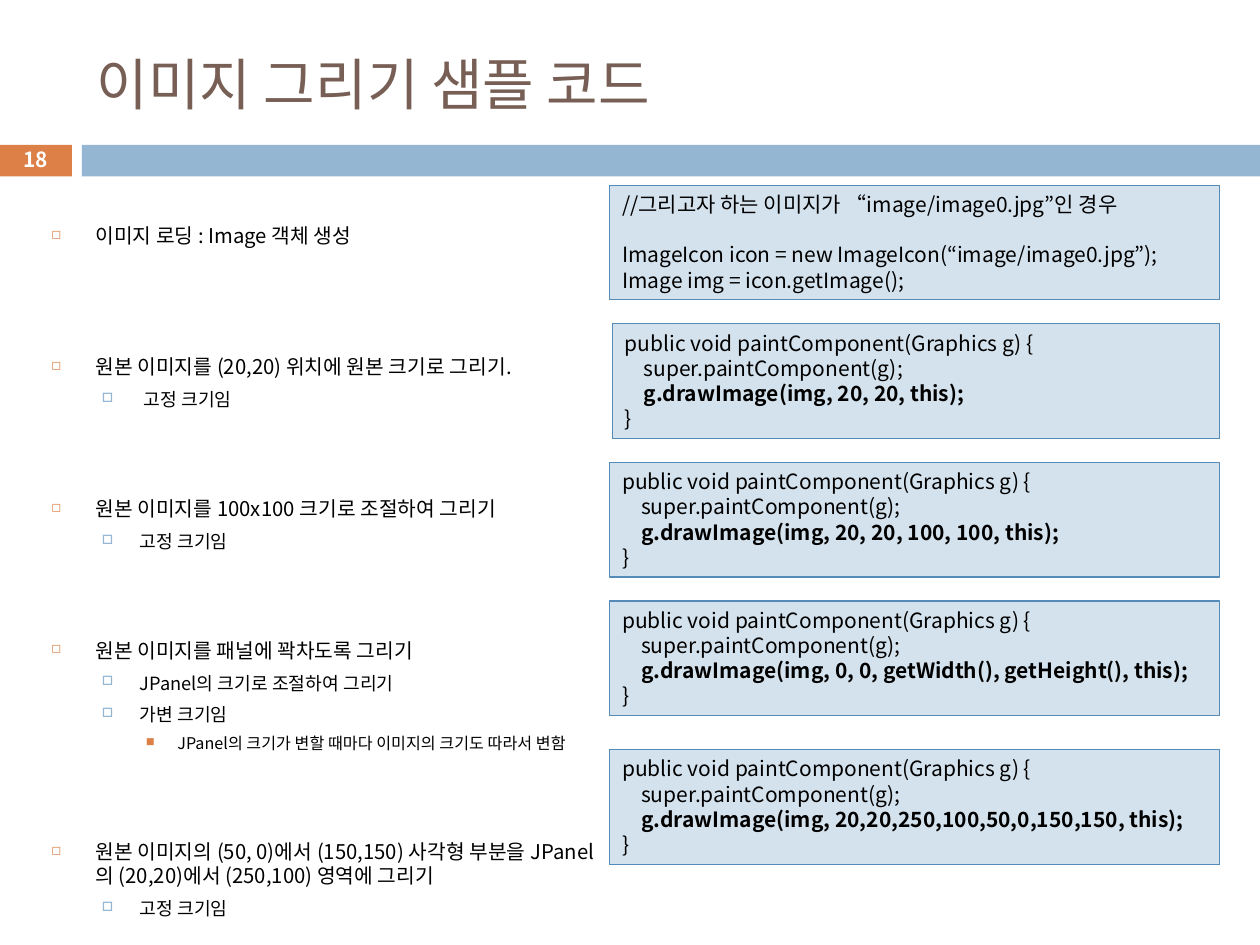
from lxml import etree
from pptx import Presentation
from pptx.dml.color import RGBColor
from pptx.enum import shapes, text
from pptx.oxml.ns import qn
from pptx.util import Inches, Pt

FONT = "Noto Sans CJK KR"
BLACK = RGBColor(0x00, 0x00, 0x00)
WHITE = RGBColor(0xFF, 0xFF, 0xFF)
BROWN = RGBColor(0x77, 0x5F, 0x55)
ORANGE = RGBColor(0xDD, 0x80, 0x47)
BLUE = RGBColor(0x94, 0xB6, 0xD2)
PALE_BLUE = RGBColor(0xD4, 0xE2, 0xED)
EDGE_BLUE = RGBColor(0x55, 0x8B, 0xB8)


def add_run(p, words, size, color=BLACK, bold=False):
    r = p.add_run()
    r.text = words
    r.font.size = Pt(size)
    r.font.bold = bold
    r.font.color.rgb = color
    r.font.name = FONT
    etree.SubElement(r._r.rPr, qn("a:ea"), typeface=FONT)


def add_rect(left, top, width, height, fill):
    sp = s.shapes.add_shape(shapes.MSO_SHAPE.RECTANGLE, Inches(left), Inches(top),
                            Inches(width), Inches(height))
    sp.shadow.inherit = False
    sp.fill.solid()
    sp.fill.fore_color.rgb = fill
    sp.line.fill.background()
    return sp


prs = Presentation()
prs.slide_width, prs.slide_height = Inches(10), Inches(7.5)
s = prs.slides.add_slide(prs.slide_layouts[6])

# Header band, title and page number
add_rect(-0.01, 1.15, 0.58, 0.25, ORANGE)
add_rect(0.65, 1.15, 9.35, 0.25, BLUE)

title = s.shapes.add_textbox(Inches(0.67), Inches(0.25), Inches(8.92), Inches(0.82))
tf = title.text_frame
tf.word_wrap = True
tf.vertical_anchor = text.MSO_ANCHOR.MIDDLE
add_run(tf.paragraphs[0], "이미지 그리기 샘플 코드", 32, BROWN)

number = s.shapes.add_textbox(Inches(-0.01), Inches(1.13), Inches(0.58), Inches(0.27))
tf = number.text_frame
tf.word_wrap = True
tf.margin_top = tf.margin_bottom = 0
tf.vertical_anchor = text.MSO_ANCHOR.MIDDLE
tf.paragraphs[0].alignment = text.PP_ALIGN.CENTER
add_run(tf.paragraphs[0], "18", 11.9, WHITE, True)

# Bulleted outline: size, line height, indent, hanging, bullet, colour, bullet %
LEVELS = [
    (11.6, 14, 0.35, 0.35, "◻", ORANGE, 60),
    (10.4, 12.5, 0.7, 0.3, "□", BLUE, 70),
    (9.2, 11, 1, 0.25, "■", ORANGE, 75),
]
# level, space before in points, words
outline = [
    (0, 0, "이미지 로딩 : Image 객체 생성"),
    (0, 61, "원본 이미지를 (20,20) 위치에 원본 크기로 그리기."),
    (1, 5.5, " 고정 크기임"),
    (0, 49, "원본 이미지를 100x100 크기로 조절하여 그리기"),
    (1, 5.5, "고정 크기임"),
    (0, 49, "원본 이미지를 패널에 꽉차도록 그리기"),
    (1, 5.5, "JPanel의 크기로 조절하여 그리기"),
    (1, 5.5, "가변 크기임"),
    (2, 5, "JPanel의 크기가 변할 때마다 이미지의 크기도 따라서 변함"),
    (0, 49, "원본 이미지의 (50, 0)에서 (150,150) 사각형 부분을 "
            "JPanel의 (20,20)에서 (250,100) 영역에 그리기"),
    (1, 5.5, "고정 크기임"),
]
body = s.shapes.add_textbox(Inches(0.31), Inches(1.72), Inches(4.53), Inches(5.55))
tf = body.text_frame
tf.word_wrap = True
for i, (level, before, words) in enumerate(outline):
    size, height, indent, hanging, bullet, color, percent = LEVELS[level]
    p = tf.paragraphs[0] if i == 0 else tf.add_paragraph()
    p.level = level
    p.line_spacing = Pt(height)
    p.space_before = Pt(before)
    pPr = p._p.get_or_add_pPr()
    pPr.set("marL", str(Inches(indent)))
    pPr.set("indent", str(-Inches(hanging)))
    bu_color = etree.SubElement(pPr, qn("a:buClr"))
    etree.SubElement(bu_color, qn("a:srgbClr"), val=str(color))
    etree.SubElement(pPr, qn("a:buSzPct"), val=str(percent * 1000))
    etree.SubElement(pPr, qn("a:buChar"), char=bullet)
    add_run(p, words, size)

# Code boxes; each line is (words, indented, bold, space before in points)
code_boxes = [(4.84, 1.47, [
    ("//그리고자 하는 이미지가 “image/image0.jpg”인 경우", False, False, 0),
    ("ImageIcon icon = new ImageIcon(“image/image0.jpg”);", False, False, 14.4),
    ("Image img = icon.getImage();", False, False, 0),
])]
for left, top, arguments in [
    (4.86, 2.57, "20, 20"),
    (4.84, 3.67, "20, 20, 100, 100"),
    (4.84, 4.77, "0, 0, getWidth(), getHeight()"),
    (4.84, 5.95, "20,20,250,100,50,0,150,150"),
]:
    code_boxes.append((left, top, [
        ("public void paintComponent(Graphics g) {", False, False, 0),
        ("super.paintComponent(g);", True, False, 0),
        (f"g.drawImage(img, {arguments}, this);", True, True, 0),
        ("}", False, False, 0),
    ]))

for left, top, lines in code_boxes:
    sp = add_rect(left, top, 9.68 - left, 0.91, PALE_BLUE)
    sp.line.color.rgb = EDGE_BLUE
    sp.line.width = Pt(0.75)
    tf = sp.text_frame
    tf.word_wrap = True
    tf.vertical_anchor = text.MSO_ANCHOR.TOP
    for i, (words, indented, bold, before) in enumerate(lines):
        p = tf.paragraphs[0] if i == 0 else tf.add_paragraph()
        p.alignment = text.PP_ALIGN.LEFT
        p.line_spacing = Pt(14.4)
        p.space_before = Pt(before)
        if indented:
            p._p.get_or_add_pPr().set("marL", str(Inches(0.15)))
        add_run(p, words, 12, bold=bold)

prs.save("out.pptx")
